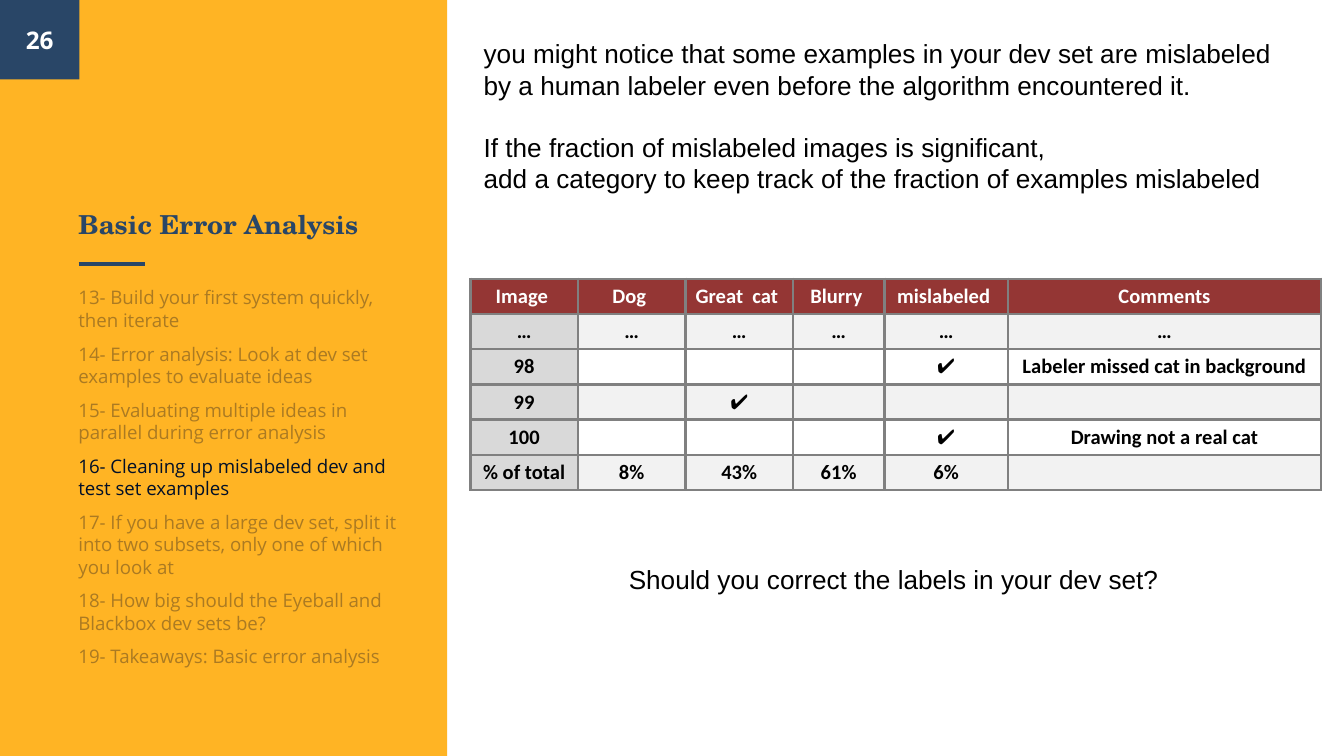
from lxml import etree
from pptx import Presentation
from pptx import util as u
from pptx.dml.color import RGBColor
from pptx.enum import shapes, text
from pptx.oxml.ns import qn

HUES = {
    "gold": "FFB424", "navy": "294667", "white": "FFFFFF", "black": "000000",
    "dim": "AB7A22", "ink": "021028", "red": "943634", "gray": "D9D9D9",
    "pale": "F2F2F2", "rule": "808080",
}
WIDE, HIGH = 100, 56.25  # grid columns and rows, each a tenth of an inch


def grid(n):
    return u.Inches(n / 10)


def hue(name):
    return RGBColor.from_string(HUES[name])


class Deck:
    """Holds the style and the current slide; lengths are grid units."""

    def __init__(self):
        self.prs = Presentation()
        self.prs.slide_width, self.prs.slide_height = grid(WIDE), grid(HIGH)
        self.slide = self.prs.slides.add_slide(self.prs.slide_layouts[6])

    def block(self, x, y, w, h, fill):
        box = self.slide.shapes.add_shape(
            shapes.MSO_SHAPE.RECTANGLE, *map(grid, (x, y, w, h)))
        box.shadow.inherit = False
        box.fill.solid()
        box.fill.fore_color.rgb = hue(fill)
        box.line.fill.background()

    def line(self, x, y, end, color, width):
        rule = self.slide.shapes.add_connector(
            shapes.MSO_CONNECTOR.STRAIGHT, *map(grid, (x, y, end, y)))
        rule.line.color.rgb = hue(color)
        rule.line.width = u.Pt(width)
        etree.SubElement(rule._element.spPr, qn("a:effectLst"))

    def run(self, para, words, font, size, color, bold=False):
        run = para.add_run()
        run.text = words
        run.font.name, run.font.size = font, u.Pt(size)
        run.font.bold = bold
        run.font.color.rgb = hue(color)

    def note(self, x, y, w, h, lines, font, size, color, bold=False,
             anchor="TOP", align="LEFT", pad=1, wrap=True):
        """Each line is (words, space before, colour or None)."""
        frame = self.slide.shapes.add_textbox(
            *map(grid, (x, y, w, h))).text_frame
        frame.word_wrap = wrap
        frame.vertical_anchor = text.MSO_ANCHOR[anchor]
        frame.margin_left = frame.margin_right = grid(1)
        frame.margin_top = frame.margin_bottom = grid(pad)
        for i, (words, gap, tint) in enumerate(lines):
            para = frame.add_paragraph() if i else frame.paragraphs[0]
            para.alignment = text.PP_ALIGN[align]
            if gap:
                para.space_before = u.Pt(gap)
            self.run(para, words, font, size, tint or color, bold)

    def edge(self, cell):
        props = cell._tc.get_or_add_tcPr()
        for i, side in enumerate(("lnL", "lnR", "lnT", "lnB")):
            line = etree.Element(qn("a:" + side), w=str(u.Pt(1.5)))
            fill = etree.SubElement(line, qn("a:solidFill"))
            etree.SubElement(fill, qn("a:srgbClr"), val=HUES["rule"])
            props.insert(i, line)

    def table(self, x, y, cols, tall, rows, font, size):
        grown = self.slide.shapes.add_table(
            len(rows), len(cols), grid(x), grid(y),
            grid(sum(cols)), grid(tall * len(rows))).table
        for col, wide in zip(grown.columns, cols):
            col.width = grid(wide)
        for r, row in enumerate(rows):
            grown.rows[r].height = grid(tall)
            for c, words in enumerate(row):
                cell = grown.cell(r, c)
                cell.margin_left = cell.margin_right = grid(0.7)
                cell.margin_top = cell.margin_bottom = 0
                cell.vertical_anchor = text.MSO_ANCHOR.MIDDLE
                band = "pale" if r % 2 or r == len(rows) - 1 else "white"
                cell.fill.solid()
                cell.fill.fore_color.rgb = hue(
                    "red" if r == 0 else "gray" if c == 0 else band)
                self.edge(cell)
                para = cell.text_frame.paragraphs[0]
                para.alignment = text.PP_ALIGN.CENTER
                if words:
                    self.run(para, words, font, size,
                             "black" if r else "white", True)
                else:  # keep the empty row from growing
                    etree.SubElement(para._p, qn("a:endParaRPr"),
                                     sz=str(size * 100))


def main():
    deck = Deck()
    split = 33.3

    # Side panel and page number
    deck.block(0, 0, split, HIGH, "gold")
    deck.block(split, 0, WIDE - split, HIGH, "white")
    deck.line(5.85, 19.65, 10.8, "navy", 2.25)
    deck.block(0, 0, 5.9, 5.9, "navy")
    deck.note(4.85, 11.45, 23.5, 7.4, [("Basic Error Analysis", 0, None)],
              "TeX Gyre Schola", 14, "navy", True, "BOTTOM")
    deck.note(-0.05, 0, 6, 5.9, [("26", 0, None)],
              "Open Sans", 13, "white", True, "MIDDLE", "CENTER")

    # Topic list, with the current one dark
    topics = [
        "Build your first system quickly, then iterate",
        "Error analysis: Look at dev set examples to evaluate ideas",
        "Evaluating multiple ideas in parallel during error analysis",
        "Cleaning up mislabeled dev and test set examples",
        "If you have a large dev set, split it into two subsets, "
        "only one of which you look at",
        "How big should the Eyeball and Blackbox dev sets be?",
        "Takeaways: Basic error analysis",
    ]
    deck.note(4.85, 20.3, 26.8, 34.5,
              [(f"{n}- {topic}", 6 if n > 13 else 0,
                "ink" if n == 16 else None)
               for n, topic in enumerate(topics, 13)],
              "Open Sans", 10, "dim")

    # Advice
    deck.note(35, 2.3, 62.5, 12.8, [
        ("you might notice that some examples in your dev set are mislabeled",
         0, None),
        ("by a human labeler even before the algorithm encountered it.",
         0, None),
        ("If the fraction of mislabeled images is significant,", 16.5, None),
        ("add a category to keep track of the fraction of examples mislabeled",
         0, None),
    ], "Arial", 14, "black", pad=0.5)

    # Error table
    deck.table(35, 20.75, [8, 8, 8, 6.8, 9.2, 23.3], 2.62, [
        ["Image ", "Dog ", "Great  cat ", "Blurry ", "mislabeled ",
         "Comments"],
        ["…"] * 6,
        ["98", "", "", "", "✔", "Labeler missed cat in background"],
        ["99", "", "✔", "", "", ""],
        ["100", "", "", "", "✔", "Drawing not a real cat"],
        ["% of total", "8%", "43%", "61%", "6%", ""],
    ], "Calibri", 11)

    # Closing question
    deck.note(45.8, 41.45, 42.2, 3.4,
              [("Should you correct the labels in your dev set?", 0, None)],
              "Arial", 14, "black", pad=0.5, wrap=False)

    deck.prs.save("out.pptx")


if __name__ == "__main__":
    main()
